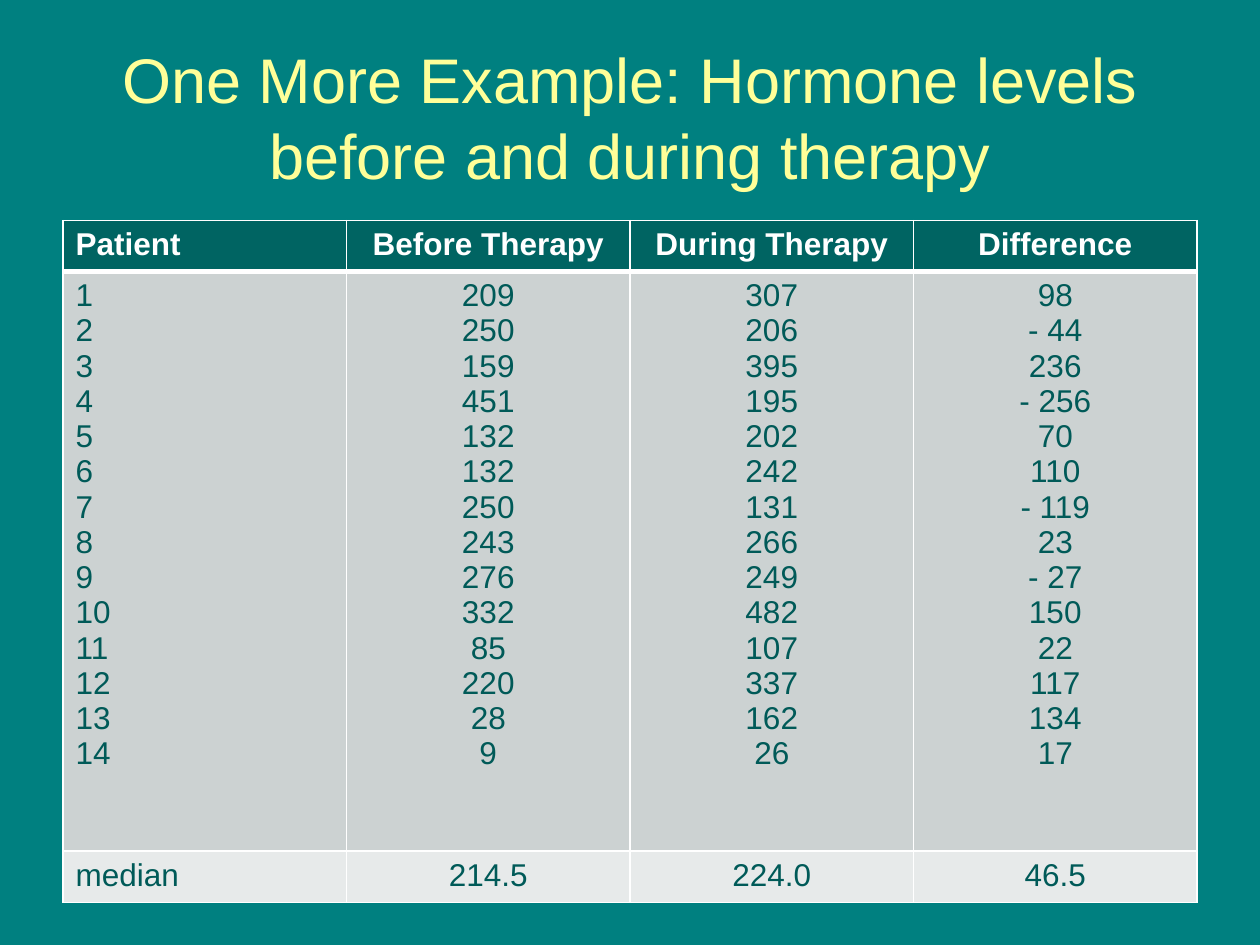
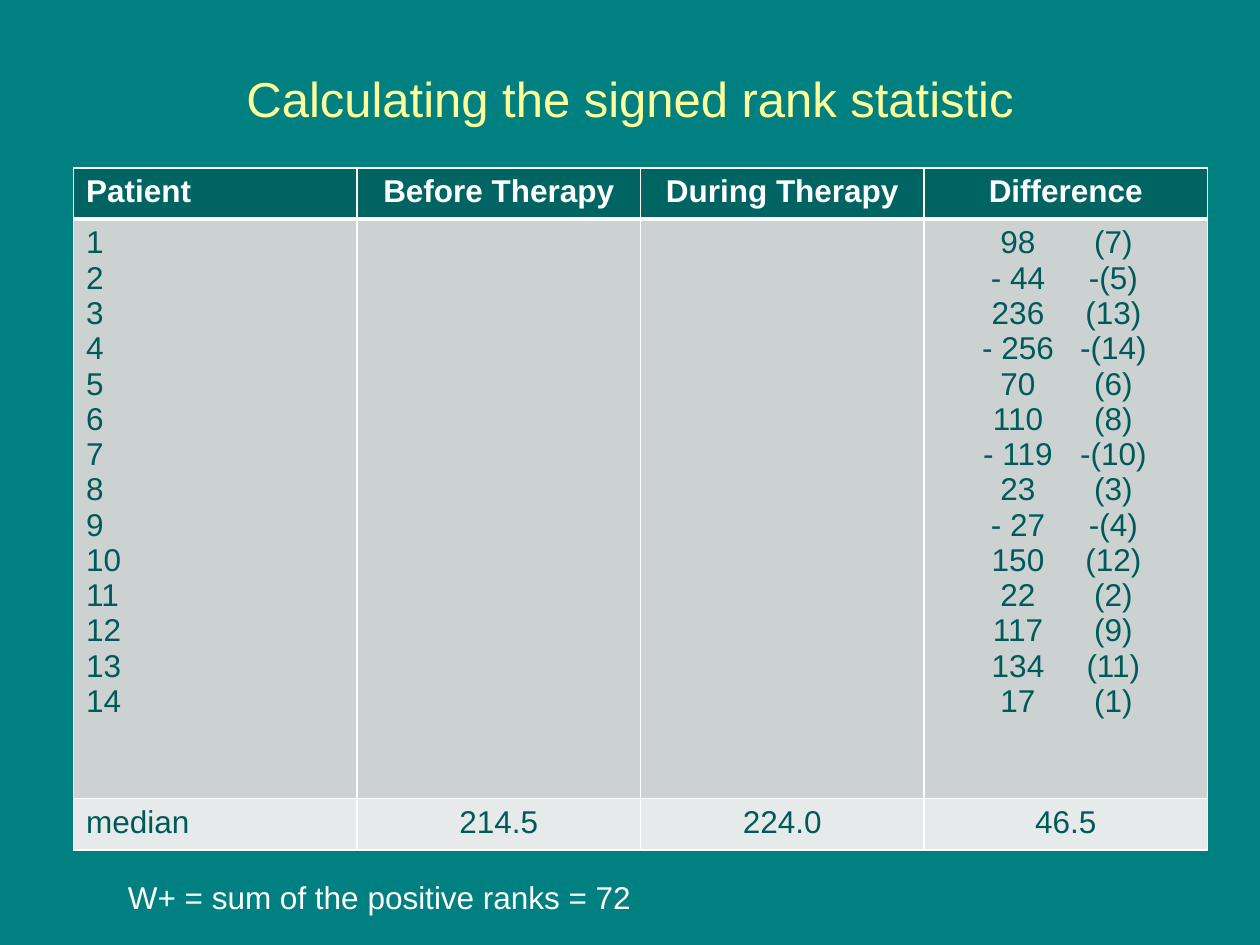
import pptx
import pptx.util
import pptx.dml.color
import pptx.enum.text
import pptx.oxml
import pptx.oxml.ns

Pt = pptx.util.Pt
RGB = pptx.dml.color.RGBColor
Align = pptx.enum.text.PP_ALIGN

TEAL = RGB(0x00, 0x80, 0x80)
YELLOW = RGB(0xFF, 0xFF, 0x99)
WHITE = RGB(0xFF, 0xFF, 0xFF)
HEAD = RGB(0x00, 0x64, 0x62)
BODY = RGB(0xCC, 0xD2, 0xD2)
FOOT = RGB(0xE7, 0xEA, 0xEA)
INK = RGB(0x00, 0x5A, 0x58)

FILLS = (HEAD, BODY, FOOT)
HEIGHTS = (29.2, 331.2, 29.2)
WIDTH = 162
THIN, THICK = 0.96, 3
TABS = (46.5, 101)

LABELS = ["Patient", "Before Therapy", "During Therapy", "Difference"]
MEDIANS = ["median", "214.5", "224.0", "46.5"]
BEFORE = [209, 250, 159, 451, 132, 132, 250, 243, 276, 332, 85, 220, 28, 9]
DURING = [307, 206, 395, 195, 202, 242, 131, 266, 249, 482, 107, 337, 162, 26]
RANKS = [7, 5, 13, 14, 6, 8, 10, 3, 4, 12, 2, 9, 11, 1]
GAPS = [after - first for first, after in zip(BEFORE, DURING)]


def lines(items):
    return "\n".join(str(item) for item in items)


def signed(gap):
    return f"- {-gap}" if gap < 0 else str(gap)


def ranked(gap, rank):
    sign = "-" if gap < 0 else ""
    return f"\t{signed(gap)}\t{sign}({rank})"


class Deck:
    def __init__(self):
        self.prs = pptx.Presentation()
        self.prs.slide_width, self.prs.slide_height = Pt(720), Pt(540)
        fill = self.prs.slide_master.background.fill
        fill.solid()
        fill.fore_color.rgb = TEAL
        self.slide = None

    def style(self, frame, size, color, align=Align.LEFT, bold=False):
        for para in frame.paragraphs:
            para.alignment = align
            for run in para.runs:
                font = run.font
                font.name, font.size, font.bold = "Arial", Pt(size), bold
                font.color.rgb = color

    def title(self, text, size, height):
        """Start a slide and set its title."""
        self.slide = self.prs.slides.add_slide(self.prs.slide_layouts[5])
        shape = self.slide.shapes.title
        shape.left, shape.top = Pt(36), Pt(21.6)
        shape.width, shape.height = Pt(648), Pt(height)
        frame = shape.text_frame
        frame.text = text
        frame.auto_size = pptx.enum.text.MSO_AUTO_SIZE.NONE
        frame.vertical_anchor = pptx.enum.text.MSO_ANCHOR.MIDDLE
        self.style(frame, size, YELLOW, Align.CENTER)

    def border(self, cell, row):
        widths = {"L": THIN, "R": THIN,
                  "T": THICK if row == 1 else THIN,
                  "B": THICK if row == 0 else THIN}
        props = cell._tc.get_or_add_tcPr()
        for side, width in widths.items():
            props.append(pptx.oxml.parse_xml(
                f'<a:ln{side} {pptx.oxml.ns.nsdecls("a")} w="{Pt(width)}">'
                f'<a:solidFill><a:srgbClr val="{WHITE}"/></a:solidFill>'
                f'</a:ln{side}>'))

    def tabs(self, para):
        """Centre the value and its rank on two tab stops."""
        para.alignment = Align.LEFT
        stops = "".join(f'<a:tab pos="{Pt(pos)}" algn="ctr"/>' for pos in TABS)
        para._p.get_or_add_pPr().append(pptx.oxml.parse_xml(
            f'<a:tabLst {pptx.oxml.ns.nsdecls("a")}>{stops}</a:tabLst>'))

    def table(self, left, top, columns):
        rows = (LABELS, [lines(items) for items in columns], MEDIANS)
        table = self.slide.shapes.add_table(
            len(rows), len(LABELS), Pt(left), Pt(top),
            Pt(WIDTH * len(LABELS)), Pt(sum(HEIGHTS))).table
        for column in table.columns:
            column.width = Pt(WIDTH)
        for r, texts in enumerate(rows):
            table.rows[r].height = Pt(HEIGHTS[r])
            for c, text in enumerate(texts):
                cell = table.cell(r, c)
                self.border(cell, r)
                cell.fill.solid()
                cell.fill.fore_color.rgb = FILLS[r]
                frame = cell.text_frame
                frame.text = text
                self.style(frame, 18, INK if r else WHITE,
                           Align.CENTER if c else Align.LEFT, r == 0)
                for para in frame.paragraphs:
                    if "\t" in para.text:
                        self.tabs(para)

    def note(self, text, left, top, width, height):
        box = self.slide.shapes.add_textbox(
            Pt(left), Pt(top), Pt(width), Pt(height))
        frame = box.text_frame
        frame.word_wrap = True
        frame.text = text
        self.style(frame, 18, WHITE)


def main():
    deck = Deck()
    count = range(1, len(BEFORE) + 1)

    deck.title("One More Example: Hormone levels before and during therapy",
               36, 90)
    deck.table(36, 126, [count, BEFORE, DURING, map(signed, GAPS)])

    deck.title("Calculating the signed rank statistic", 28, 68.4)
    deck.table(42, 96, [count, [], [], map(ranked, GAPS, RANKS)])
    deck.note("W+ = sum of the positive ranks = 72", 66, 498, 630, 29)

    deck.prs.save("out.pptx")


if __name__ == "__main__":
    main()
